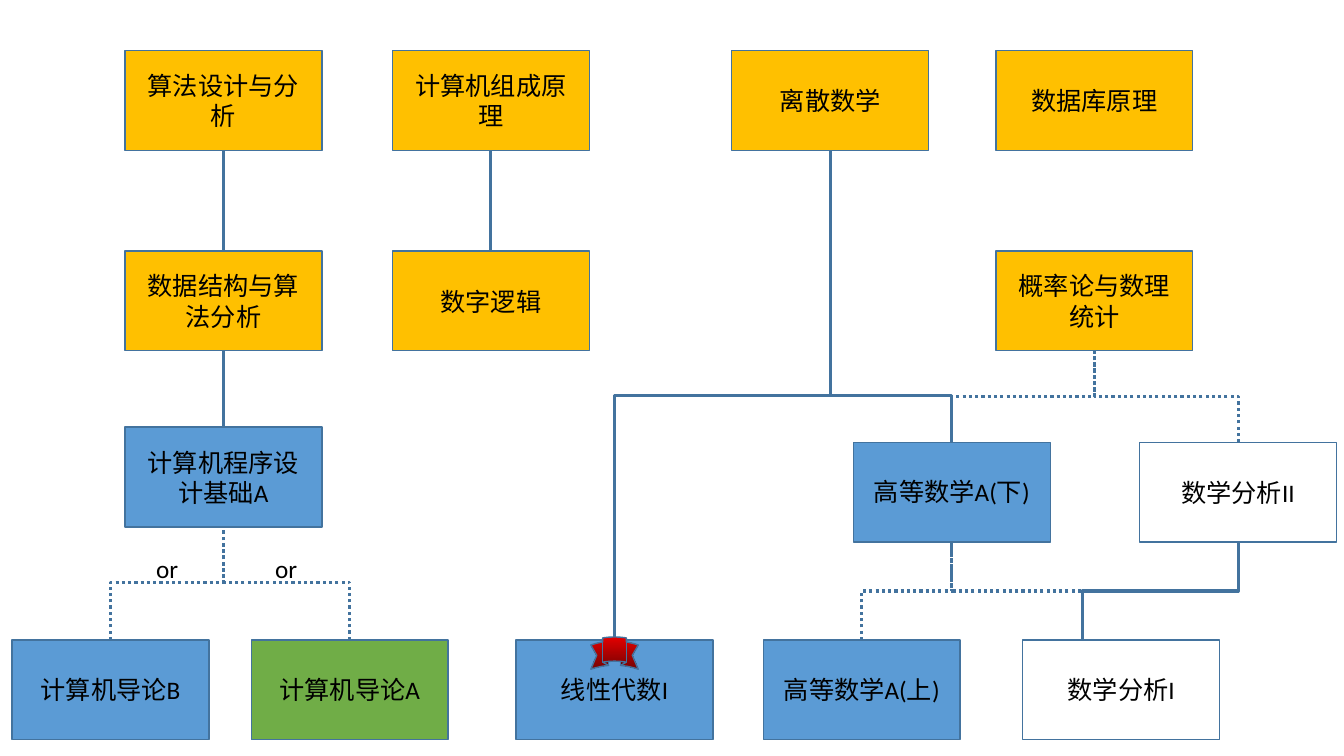
from dataclasses import dataclass
from typing import Optional

from lxml.etree import SubElement
from pptx import Presentation
from pptx.dml.color import RGBColor
from pptx.enum.dml import MSO_LINE
from pptx.enum.shapes import MSO_CONNECTOR as Route, MSO_SHAPE as Preset
from pptx.enum.text import MSO_ANCHOR as Anchor, PP_ALIGN as Align
from pptx.oxml.ns import qn
from pptx.util import Inches, Pt

GOLD = RGBColor(0xFF, 0xC0, 0x00)
BLUE = RGBColor(0x5B, 0x9B, 0xD5)
GREEN = RGBColor(0x70, 0xAD, 0x47)
EDGE = RGBColor(0x43, 0x73, 0x9E)
BLACK = RGBColor(0x00, 0x00, 0x00)
RED = RGBColor(0xE3, 0x00, 0x00)
DARK_RED = RGBColor(0x76, 0x03, 0x03)

curriculum = Presentation()
curriculum.slide_width = Inches(13.33)
curriculum.slide_height = Inches(7.5)
COL = curriculum.slide_width / 100
ROW = curriculum.slide_height / 100
BOX_W, BOX_H = 14.65, 13.2
YEAR_4, YEAR_3, YEAR_2, YEAR_2_MATH, YEAR_1 = 6.67, 33.2, 56.5, 58.5, 84.65
shapes = curriculum.slides.add_slide(curriculum.slide_layouts[6]).shapes


@dataclass(frozen=True)
class Course:
    title: str
    col: float
    row: float
    color: Optional[RGBColor]
    low_text: bool = False

    @property
    def center(self) -> float:
        return self.col + BOX_W / 2

    @property
    def bottom(self) -> float:
        return self.row + BOX_H


@dataclass(frozen=True)
class Link:
    lower: Course
    upper: Course
    dotted: bool = False
    bend: float = 0.5
    shift: float = 0


def add_run(frame, text: str, align: Align) -> None:
    paragraph = frame.paragraphs[0]
    paragraph.alignment = align
    run = paragraph.add_run()
    run.text = text
    run.font.name = "Calibri"
    run.font.size = Pt(18)
    run.font.color.rgb = BLACK


def draw_course(course: Course) -> None:
    box = shapes.add_shape(Preset.RECTANGLE, round(course.col * COL), round(course.row * ROW),
                           round(BOX_W * COL), round(BOX_H * ROW))
    box.shadow.inherit = False
    if course.color is None:
        box.fill.background()
    else:
        box.fill.solid()
        box.fill.fore_color.rgb = course.color
    box.line.color.rgb = EDGE
    box.line.width = Pt(1)
    frame = box.text_frame
    frame.word_wrap = True
    frame.margin_left = frame.margin_right = round(1.43 * COL)
    frame.vertical_anchor = Anchor.MIDDLE
    if course.low_text:
        frame.vertical_anchor = Anchor.TOP
        frame.margin_top = round(4.53 * ROW)
    add_run(frame, course.title, Align.CENTER)


def draw_link(link: Link) -> None:
    x1, y1 = (link.lower.center + link.shift) * COL, link.lower.row * ROW
    x2, y2 = link.upper.center * COL, link.upper.bottom * ROW
    if link.lower.col == link.upper.col:
        line = shapes.add_connector(Route.STRAIGHT, round(x1), round(y1), round(x2), round(y2))
    else:
        mid_x, mid_y = (x1 + x2) / 2, (y1 + y2) / 2
        half_rise, half_run = (y1 - y2) / 2, (x2 - x1) / 2
        line = shapes.add_connector(Route.ELBOW, round(mid_x - half_rise), round(mid_y - half_run),
                                    round(mid_x + half_rise), round(mid_y + half_run))
        properties = line._element.spPr
        properties.find(qn("a:xfrm")).set("rot", str(270 * 60000))
        guides = properties.find(qn("a:prstGeom")).find(qn("a:avLst"))
        SubElement(guides, qn("a:gd"), name="adj1", fmla=f"val {round(link.bend * 100000)}")
    line.line.color.rgb = EDGE
    line.line.width = Pt(2.25)
    if link.dotted:
        line.line.dash_style = MSO_LINE.ROUND_DOT
    SubElement(line._element.spPr, qn("a:effectLst"))


def draw_choice(col: float, row: float) -> None:
    choice = shapes.add_textbox(round(col * COL), round(row * ROW), round(3.15 * COL), round(5.33 * ROW))
    choice.text_frame.word_wrap = False
    add_run(choice.text_frame, "or", Align.LEFT)


def draw_ribbon(course: Course) -> None:
    width = 3.53
    ribbon = shapes.add_shape(Preset.CURVED_UP_RIBBON, round((course.center - width / 2) * COL),
                              round((course.row - 0.4) * ROW), round(width * COL), round(4.27 * ROW))
    ribbon.shadow.inherit = False
    ribbon.fill.gradient()
    ribbon.fill.gradient_angle = 270
    for stop, color, place in zip(ribbon.fill.gradient_stops, (RED, DARK_RED), (0, 1)):
        stop.color.rgb = color
        stop.position = place
    ribbon.line.color.rgb = EDGE
    ribbon.line.width = Pt(1)


algorithms = Course("算法设计与分析", 9.3, YEAR_4, GOLD)
organization = Course("计算机组成原理", 29.2, YEAR_4, GOLD)
discrete = Course("离散数学", 54.45, YEAR_4, GOLD)
database = Course("数据库原理", 74.1, YEAR_4, GOLD)
structures = Course("数据结构与算法分析", 9.3, YEAR_3, GOLD)
logic = Course("数字逻辑", 29.2, YEAR_3, GOLD)
probability = Course("概率论与数理统计", 74.1, YEAR_3, GOLD)
programming = Course("计算机程序设计基础A", 9.3, YEAR_2, BLUE)
calculus_2 = Course("高等数学A(下)", 63.5, YEAR_2_MATH, BLUE, low_text=True)
analysis_2 = Course("数学分析II", 84.8, YEAR_2_MATH, None)
intro_b = Course("计算机导论B", 0.9, YEAR_1, BLUE)
intro_a = Course("计算机导论A", 18.7, YEAR_1, GREEN)
linear = Course("线性代数I", 38.4, YEAR_1, BLUE)
calculus_1 = Course("高等数学A(上)", 56.8, YEAR_1, BLUE, low_text=True)
analysis_1 = Course("数学分析I", 76.1, YEAR_1, None)

for course in (algorithms, organization, discrete, database, structures, logic, probability,
               programming, calculus_2, analysis_2, intro_b, intro_a, linear, calculus_1, analysis_1):
    draw_course(course)

for link in (
    Link(structures, algorithms),
    Link(programming, structures),
    Link(logic, organization),
    Link(intro_b, programming, dotted=True, bend=0.51),
    Link(intro_a, programming, dotted=True, bend=0.51),
    Link(calculus_1, calculus_2, dotted=True),
    Link(analysis_1, calculus_2, dotted=True, shift=-2.9),
    Link(calculus_2, probability, dotted=True),
    Link(analysis_2, probability, dotted=True),
    Link(analysis_1, analysis_2, shift=-2.9),
    Link(calculus_2, discrete, bend=0.16),
    Link(linear, discrete),
):
    draw_link(link)

for col in (10.88, 19.73):
    draw_choice(col, 72.53)
draw_ribbon(linear)

curriculum.save("out.pptx")
